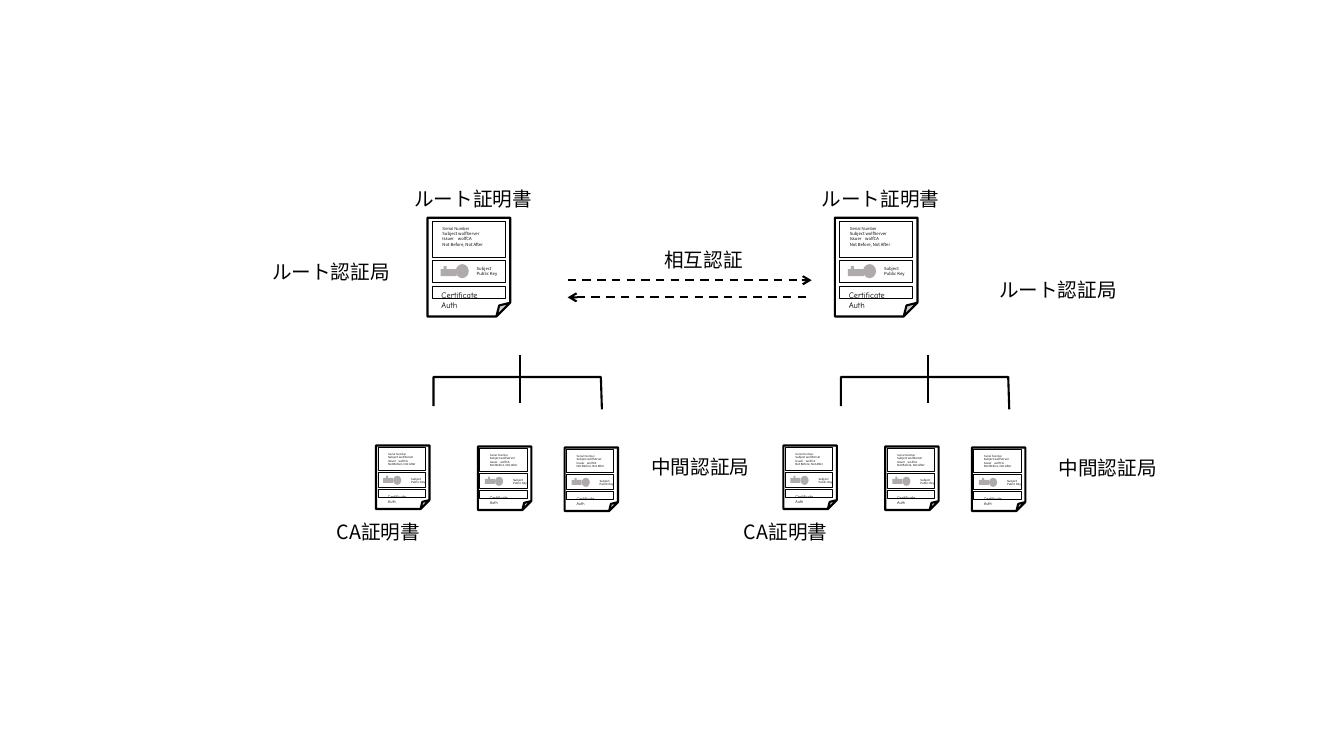
"""Builds a slide on cross-certification between two certificate authority trees."""
from lxml import etree
from pptx import Presentation
from pptx import util as u
from pptx.dml.color import RGBColor
from pptx.enum import dml, shapes, text
from pptx.oxml import ns

PX = 9144
COLORS = {"ink": "000000", "serial": "202122", "key": "AFABAB", "paper": "FFFFFF"}
SANS = "Noto Sans CJK JP"
SHAPE = shapes.MSO_SHAPE


def write(parent, box, lines, size, wrap=False):
    label = parent.add_textbox(*[n * PX for n in box])
    frame = label.text_frame
    frame.word_wrap = wrap
    frame.auto_size = text.MSO_AUTO_SIZE.SHAPE_TO_FIT_TEXT
    for index, (words, face, color) in enumerate(lines):
        paragraph = frame.paragraphs[0] if index == 0 else frame.add_paragraph()
        run = paragraph.add_run()
        run.text = words
        for name, value in {"size": u.Pt(size), "name": face}.items():
            setattr(run.font, name, value)
        run.font.color.rgb = RGBColor.from_string(COLORS[color])
        etree.SubElement(run.font._element, ns.qn("a:ea"), typeface=face)


def draw(parent, kind, box, fill=None, line_width=None):
    part = parent.add_shape(kind, *[n * PX for n in box])
    part.shadow.inherit = False
    if fill:
        part.fill.solid()
        part.fill.fore_color.rgb = RGBColor.from_string(COLORS[fill])
    else:
        part.fill.background()
    if line_width:
        part.line.color.rgb = RGBColor.from_string(COLORS["ink"])
        part.line.width = u.Pt(line_width)
    else:
        part.line.fill.background()


prs = Presentation()
prs.slide_width, prs.slide_height = 1333 * PX, 750 * PX
slide = prs.slides.add_slide(prs.slide_layouts[6])
canvas = slide.shapes

ISSUER_LINES = [("Serial Number", "Arial", "serial")] + [
    (words, SANS, "ink")
    for words in ("Subject wolfServer", "Issuer    wolfCA", "Not Before, Not After")]
KEY_LINES = [("Subject", SANS, "ink"), ("Public Key", SANS, "ink")]
AUTH_LINES = [("Certificate Auth", "Comic Neue", "ink")]

ROOT = {
    "paper": (0, 0, 82, 98),
    "key": [(28, 46, 13, 14), (13, 51, 16, 7), (16, 48, 3, 4)],
    "auth": (4, 67, 66, 20), "issuer": (5, 4, 61, 30), "subject": (39, 43, 41, 20),
    "frames": [(5, 4, 72, 36), (5, 42, 72, 22), (5, 68, 72, 12)],
    "auth_size": 6, "size": 3,
}
INTERMEDIATE = {
    "paper": (0, 0, 53, 63),
    "key": [(17, 30, 8, 9), (7, 32, 10, 5), (10, 30, 2, 3)],
    "auth": (2, 43, 43, 15), "issuer": (2, 2, 48, 24), "subject": (25, 27, 34, 17),
    "frames": [(2, 2, 47, 23), (2, 27, 47, 15), (2, 44, 47, 8)],
    "auth_size": 3, "size": 2,
}
CERTIFICATES = [(424, 216, ROOT), (373, 442, INTERMEDIATE),
                (474, 443, INTERMEDIATE), (560, 444, INTERMEDIATE)]
KEY_KINDS = [SHAPE.OVAL, SHAPE.RECTANGLE, SHAPE.RECTANGLE]
links = []

for tree_x, root_label, middle_label in [
        (0, (260, 253), (636, 446)), (404, (981, 271), (1040, 447))]:
    outline = canvas.build_freeform(430 + tree_x, 403, scale=PX)
    outline.add_line_segments(
        [(x + tree_x, y) for x, y in [(430, 374), (596, 374), (597, 406)]], close=False)
    branch = outline.convert_to_shape()
    branch.shadow.inherit = False
    branch.fill.background()
    branch.line.color.rgb = RGBColor.from_string(COLORS["ink"])
    branch.line.width = u.Pt(1.5)
    links.append(canvas.add_connector(
        shapes.MSO_CONNECTOR.STRAIGHT,
        *[n * PX for n in (516 + tree_x, 352, 516 + tree_x, 400)]))

    for left, top, layout in CERTIFICATES:
        certificate = canvas.add_group_shape().shapes
        at = {name: (left + tree_x + layout[name][0], top + layout[name][1], *layout[name][2:])
              for name in ("paper", "auth", "issuer", "subject")}
        draw(certificate, SHAPE.FOLDED_CORNER, at["paper"], "paper", 1.5)
        for kind, (x, y, w, h) in zip(KEY_KINDS, layout["key"]):
            draw(certificate, kind, (left + tree_x + x, top + y, w, h), "key")
        write(certificate, at["auth"], AUTH_LINES, layout["auth_size"], wrap=True)
        write(certificate, at["issuer"], ISSUER_LINES, layout["size"])
        write(certificate, at["subject"], KEY_LINES, layout["size"])
        for x, y, w, h in layout["frames"]:
            draw(certificate, SHAPE.RECTANGLE, (left + tree_x + x, top + y, w, h),
                 line_width=0.75)

    for words, box, wrap in [
            ("ルート証明書", (401 + tree_x, 181, 138, 34), False),
            ("CA証明書", (324 + tree_x, 511, 105, 34), True),
            ("ルート認証局", (*root_label, 138, 34), False),
            ("中間認証局", (*middle_label, 118, 34), False)]:
        write(canvas, box, [(words, SANS, "ink")], 14, wrap)

for y, arrow_end in [(278, "a:tailEnd"), (295, "a:headEnd")]:
    trust = canvas.add_connector(
        shapes.MSO_CONNECTOR.STRAIGHT, *[n * PX for n in (563, y, 805, y)])
    trust.line.color.rgb = RGBColor.from_string(COLORS["ink"])
    trust.line.dash_style = dml.MSO_LINE.DASH
    etree.SubElement(trust.line._get_or_add_ln(), ns.qn(arrow_end), type="arrow")
    links.append(trust)

for link in links:
    link.line.color.rgb = RGBColor.from_string(COLORS["ink"])
    link.line.width = u.Pt(1.5)
    etree.SubElement(link._element.spPr, ns.qn("a:effectLst"))

write(canvas, (649, 241, 99, 34), [("相互認証", SANS, "ink")], 14)

prs.save("out.pptx")
